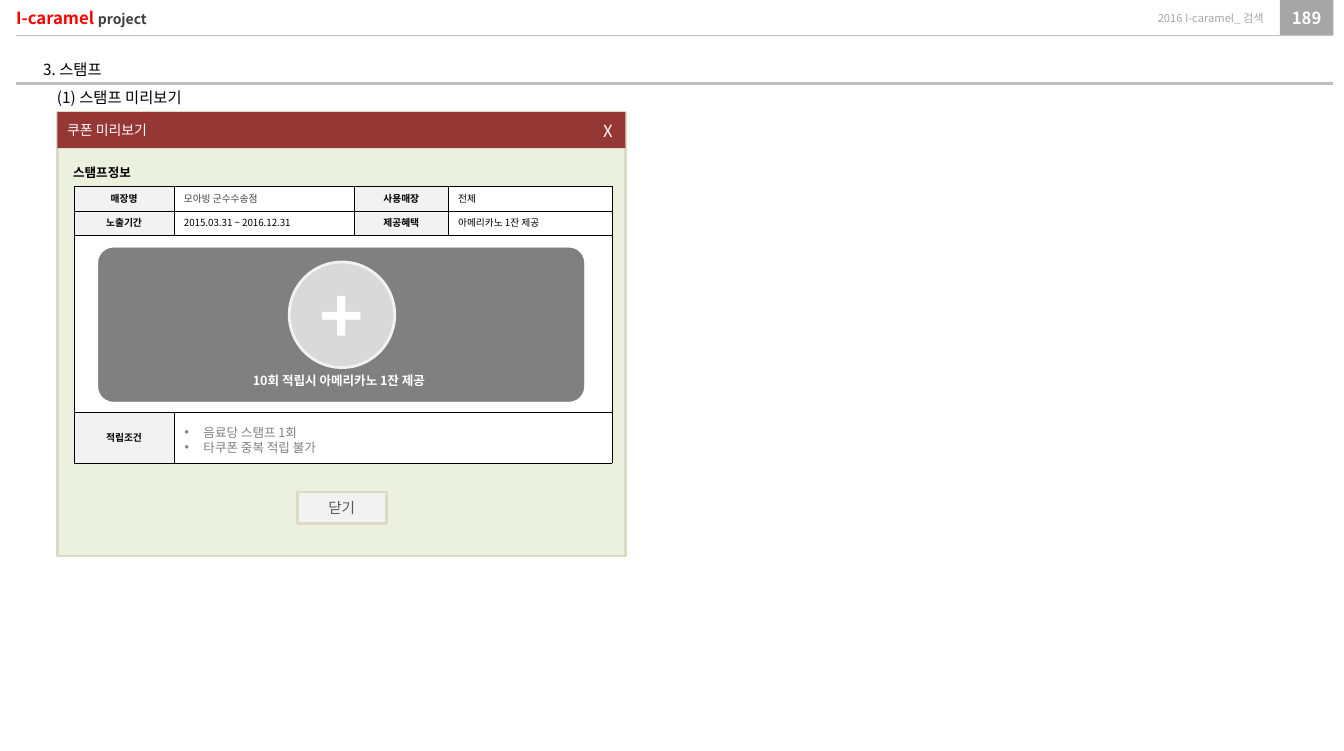
from lxml.etree import SubElement
from pptx import Presentation
from pptx.dml.color import RGBColor
from pptx.enum.shapes import MSO_CONNECTOR, MSO_SHAPE as Shape
from pptx.enum.text import MSO_ANCHOR as Anchor, PP_ALIGN as Align
from pptx.oxml import parse_xml
from pptx.oxml.ns import nsdecls, qn
from pptx.util import Cm, Pt

FONT = "Noto Sans CJK KR"
COLORS = {
    "white": "FFFFFF", "black": "000000", "red": "FF0000",
    "dark": "404040", "slate": "595959", "grey": "808080",
    "silver": "A6A6A6", "rule": "BFBFBF", "pale": "F2F2F2",
    "maroon": "953735", "mint": "EBF1DE", "sand": "DDD9C3",
}
RGB = {name: RGBColor.from_string(value) for name, value in COLORS.items()}


def style(paragraph, size, color, bold=False, align=Align.LEFT):
    paragraph.alignment = align
    for run in paragraph.runs:
        run.font.size = Pt(size)
        run.font.bold = bold
        run.font.color.rgb = RGB[color]
        run.font.name = FONT
        SubElement(run.font._element, qn("a:ea"), typeface=FONT)


def add_box(shapes, kind, place, fill, line=None, width=0):
    box = shapes.add_shape(kind, *[Cm(v) for v in place])
    box.shadow.inherit = False
    box.fill.solid()
    box.fill.fore_color.rgb = RGB[fill]
    if line:
        box.line.color.rgb = RGB[line]
        box.line.width = Pt(width)
    else:
        box.line.fill.background()
    box.text_frame.vertical_anchor = Anchor.MIDDLE
    return box


prs = Presentation()
prs.slide_width, prs.slide_height = Cm(34.01), Cm(19)
slide = prs.slides.add_slide(prs.slide_layouts[6])
shapes = slide.shapes

add_box(shapes, Shape.RECTANGLE, (32.39, 0, 1.35, 0.89), "silver")
for y, weight in ((2.11, 2.25), (0.89, 0.25)):
    rule = shapes.add_connector(MSO_CONNECTOR.STRAIGHT, Cm(0.41), Cm(y), Cm(33.73), Cm(y))
    rule.line.color.rgb = RGB["rule"]
    rule.line.width = Pt(weight)
    SubElement(rule._element.spPr, qn("a:effectLst"))

for text, left, width, size, color, bold, align in (
    ("189", 32.39, 1.35, 12, "white", True, Align.CENTER),
    ("2016 I-caramel_ 검색", 26.21, 5.77, 8, "silver", False, Align.RIGHT),
    ("I-caramel ", 0.41, 5.21, 12, "red", True, Align.LEFT),
):
    frame = shapes.add_textbox(Cm(left), 0, Cm(width), Cm(0.89)).text_frame
    frame.margin_left = frame.margin_right = frame.margin_top = frame.margin_bottom = 0
    frame.vertical_anchor = Anchor.MIDDLE
    frame.word_wrap = True
    frame.text = text
    style(frame.paragraphs[0], size, color, bold, align)
project = frame.paragraphs[0].add_run()
project.text = "project"
project.font.size = Pt(10)
project.font.bold = True
project.font.color.rgb = RGB["dark"]
project.font.name = FONT
SubElement(project.font._element, qn("a:ea"), typeface=FONT)

add_box(shapes, Shape.RECTANGLE, (1.45, 2.84, 14.38, 11.23), "mint", "sand", 2)
popup_header = add_box(shapes, Shape.RECTANGLE, (1.45, 2.84, 14.38, 0.91), "maroon")
popup_header.text_frame.text = "쿠폰 미리보기"
style(popup_header.text_frame.paragraphs[0], 10, "white")

stamp_rows = (
    ("매장명", "모아빙 군수수송점", "사용매장", "전체"),
    ("노출기간", "2015.03.31 ~ 2016.12.31", "제공혜택", "아메리카노 1잔 제공"),
    ("", "", "", ""),
    ("적립조건", "", "", ""),
)
stamp_info = shapes.add_table(4, 4, Cm(1.88), Cm(4.72), Cm(13.61), Cm(7)).table
stamp_info.first_row = stamp_info.horz_banding = False
for column, width in zip(stamp_info.columns, (2.52, 4.57, 2.37, 4.15)):
    column.width = Cm(width)
for row, height in zip(stamp_info.rows, (0.61, 0.61, 4.49, 1.29)):
    row.height = Cm(height)
for r, texts in enumerate(stamp_rows):
    for c, text in enumerate(texts):
        cell = stamp_info.cell(r, c)
        label = c % 2 == 0 and text != ""
        cell.vertical_anchor = Anchor.MIDDLE
        cell.fill.solid()
        cell.fill.fore_color.rgb = RGB["pale" if label else "white"]
        if text:
            cell.text = text
            style(cell.text_frame.paragraphs[0], 7, "dark" if (r, c) == (0, 1) else "black",
                  label, Align.CENTER if label else Align.LEFT)
        for i, side in enumerate(("lnL", "lnR", "lnT", "lnB")):
            weight = Pt(1) if r == 0 and side == "lnT" else Pt(0.25)
            cell._tc.tcPr.insert(i, parse_xml(
                f'<a:{side} {nsdecls("a")} w="{weight}"><a:solidFill>'
                f'<a:srgbClr val="{COLORS["black"]}"/></a:solidFill></a:{side}>'))
stamp_info.cell(2, 0).merge(stamp_info.cell(2, 3))
stamp_info.cell(3, 1).merge(stamp_info.cell(3, 3))

close_button = add_box(shapes, Shape.RECTANGLE, (7.52, 12.45, 2.26, 0.79), "pale", "sand", 2)
close_button.text_frame.text = "닫기"
style(close_button.text_frame.paragraphs[0], 10.5, "slate", align=Align.CENTER)

stamp_card = shapes.add_group_shape().shapes
card = add_box(stamp_card, Shape.ROUNDED_RECTANGLE, (2.49, 6.27, 12.29, 3.89), "grey", "grey", 0.25)
card.adjustments[0] = 0.1
stamp = add_box(stamp_card, Shape.OVAL, (7.32, 6.63, 2.67, 2.67), "white", "pale", 2)
stamp_fill = stamp._element.spPr.find(qn("a:solidFill"))
SubElement(stamp_fill[0], qn("a:alpha"), val="70000")
stamp.text_frame.text = "+"
style(stamp.text_frame.paragraphs[0], 53.9, "white", True, Align.CENTER)

for parent, text, place, size, color, bold, align in (
    (shapes, "스탬프정보", (1.6, 4.06, 2.08, 0.64), 9, "black", True, Align.LEFT),
    (shapes, "X", (15.01, 2.92, 0.79, 0.76), 12, "white", False, Align.LEFT),
    (shapes, "(1) 스탬프 미리보기", (1.19, 2.11, 3.99, 0.71), 11, "black", False, Align.LEFT),
    (shapes, "3. 스탬프", (0.84, 1.4, 2.11, 0.71), 11, "black", False, Align.LEFT),
    (stamp_card, "10회 적립시 아메리카노 1잔 제공", (5.87, 9.32, 5.41, 0.64), 9, "white", True, Align.CENTER),
):
    frame = parent.add_textbox(*[Cm(v) for v in place]).text_frame
    frame.word_wrap = False
    frame.text = text
    style(frame.paragraphs[0], size, color, bold, align)

conditions = shapes.add_textbox(Cm(4.42), Cm(10.62), Cm(9.7), Cm(1.02)).text_frame
conditions.word_wrap = True
conditions.text = "음료당 스탬프 1회\n타쿠폰 중복 적립 불가"
for condition in conditions.paragraphs:
    indent = condition._p.get_or_add_pPr()
    indent.set("marL", str(Cm(0.48)))
    indent.set("indent", str(-Cm(0.48)))
    SubElement(indent, qn("a:buFont"), typeface="Arial")
    SubElement(indent, qn("a:buChar"), char="•")
    style(condition, 9, "grey")

prs.save("out.pptx")
